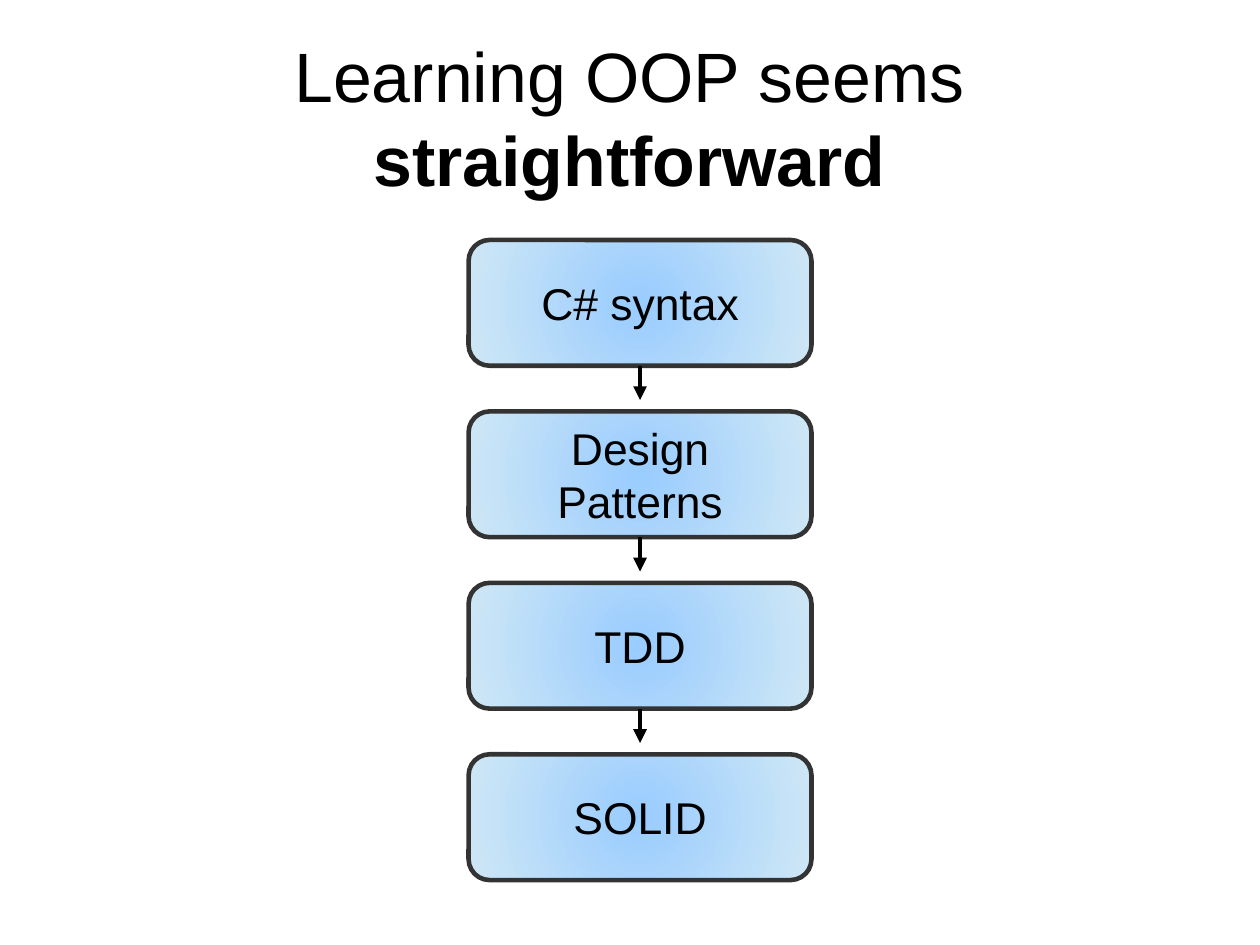
"""Build a slide with a four-step learning path for OOP."""
from lxml.etree import SubElement
from pptx import Presentation
from pptx.dml.color import RGBColor
from pptx.enum.shapes import MSO_CONNECTOR as Connector, MSO_SHAPE as Shape
from pptx.enum.text import MSO_ANCHOR as Anchor, MSO_AUTO_SIZE as AutoSize, PP_ALIGN as Align
from pptx.oxml.ns import qn
from pptx.util import Inches, Pt

COLORS = {"text": "000000", "center": "99CCFF", "edge": "CFE7F5", "border": "333333"}
STEPS = ["C# syntax", "Design Patterns", "TDD", "SOLID"]
CM_PER_INCH = 2.54
LEFT, TOP, WIDTH, HEIGHT = 4.1, 2.1, 3, 1.1
PITCH, ARROW_LENGTH, LINE_WIDTH = 1.5, 0.3, 2.89


def add_text(para, text, size=28, bold=False, color="text"):
    para.alignment = Align.CENTER
    span = para.add_run()
    span.text = text
    span.font.name = "Arial"
    span.font.size = Pt(size)
    span.font.bold = bold
    span.font.color.rgb = RGBColor.from_string(COLORS[color])


deck = Presentation()
deck.slide_width, deck.slide_height = Inches(28 / CM_PER_INCH), Inches(21 / CM_PER_INCH)
page = deck.slides.add_slide(deck.slide_layouts[5])

title = page.shapes.title
title.left, title.top = Inches(0.55), Inches(0.33)
title.width, title.height = Inches(9.92), Inches(1.38)
frame = title.text_frame
frame.margin_left = frame.margin_right = frame.margin_top = frame.margin_bottom = 0
frame.word_wrap = True
frame.vertical_anchor = Anchor.MIDDLE
frame.auto_size = AutoSize.SHAPE_TO_FIT_TEXT
add_text(frame.paragraphs[0], "Learning OOP seems ", size=44)
add_text(frame.paragraphs[0], "straightforward", size=44, bold=True)

for index, step in enumerate(STEPS):
    top = TOP + index * PITCH
    box = page.shapes.add_shape(
        Shape.ROUNDED_RECTANGLE, Inches(LEFT), Inches(top), Inches(WIDTH), Inches(HEIGHT)
    )
    box.shadow.inherit = False
    box.line.color.rgb = RGBColor.from_string(COLORS["border"])
    box.line.width = Pt(LINE_WIDTH)
    box.fill.gradient()
    for stop, name, position in zip(box.fill.gradient_stops, ("center", "edge"), (0, 1)):
        stop.color.rgb = RGBColor.from_string(COLORS[name])
        stop.position = position
    gradient = box.element.spPr.find(qn("a:gradFill"))
    gradient.remove(gradient.find(qn("a:lin")))
    radial = SubElement(gradient, qn("a:path"), path="circle")
    SubElement(radial, qn("a:fillToRect"), l="50000", t="50000", r="50000", b="50000")
    box.text_frame.word_wrap = True
    box.text_frame.vertical_anchor = Anchor.MIDDLE
    add_text(box.text_frame.paragraphs[0], step)

for index in range(len(STEPS) - 1):
    center, start = LEFT + WIDTH / 2, TOP + HEIGHT + index * PITCH
    arrow = page.shapes.add_connector(
        Connector.STRAIGHT, Inches(center), Inches(start),
        Inches(center), Inches(start + ARROW_LENGTH),
    )
    arrow.line.color.rgb = RGBColor.from_string(COLORS["text"])
    arrow.line.width = Pt(LINE_WIDTH)
    properties = arrow.element.spPr
    SubElement(properties.find(qn("a:ln")), qn("a:tailEnd"), type="triangle")
    SubElement(properties, qn("a:effectLst"))

deck.save("out.pptx")
